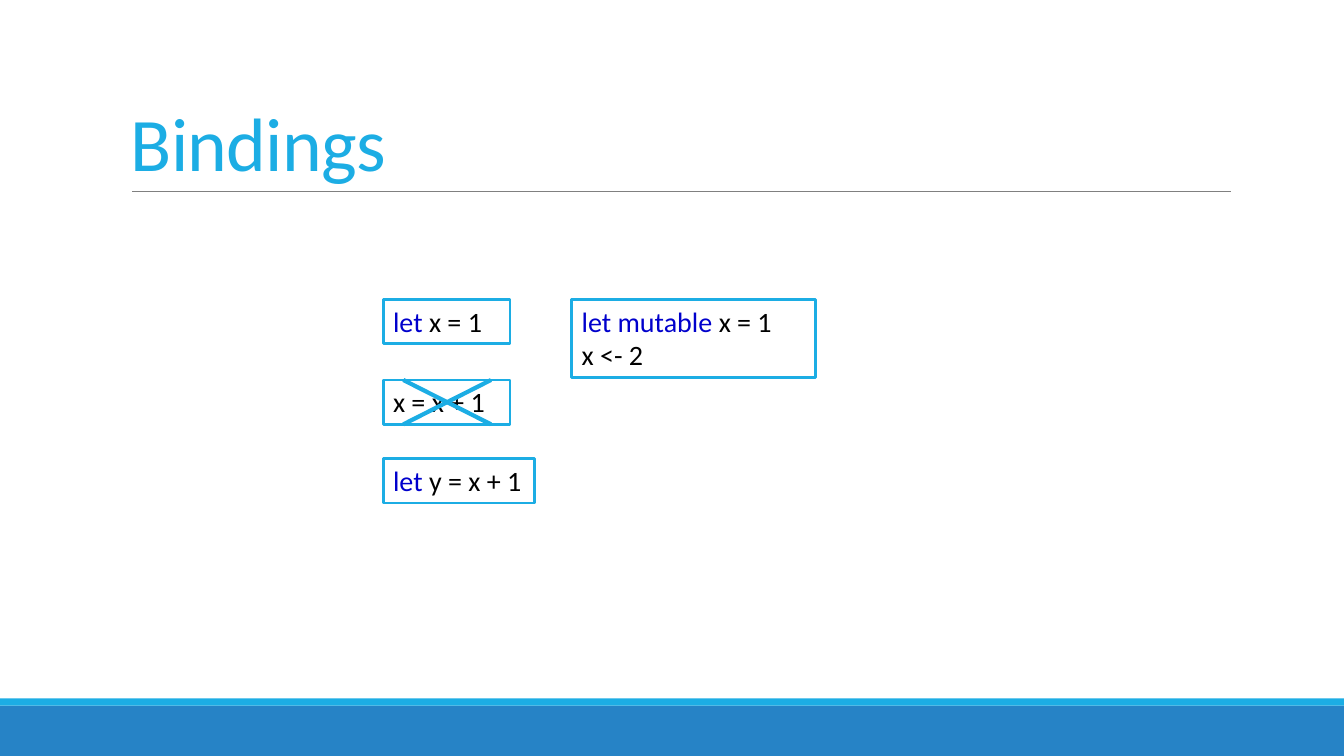
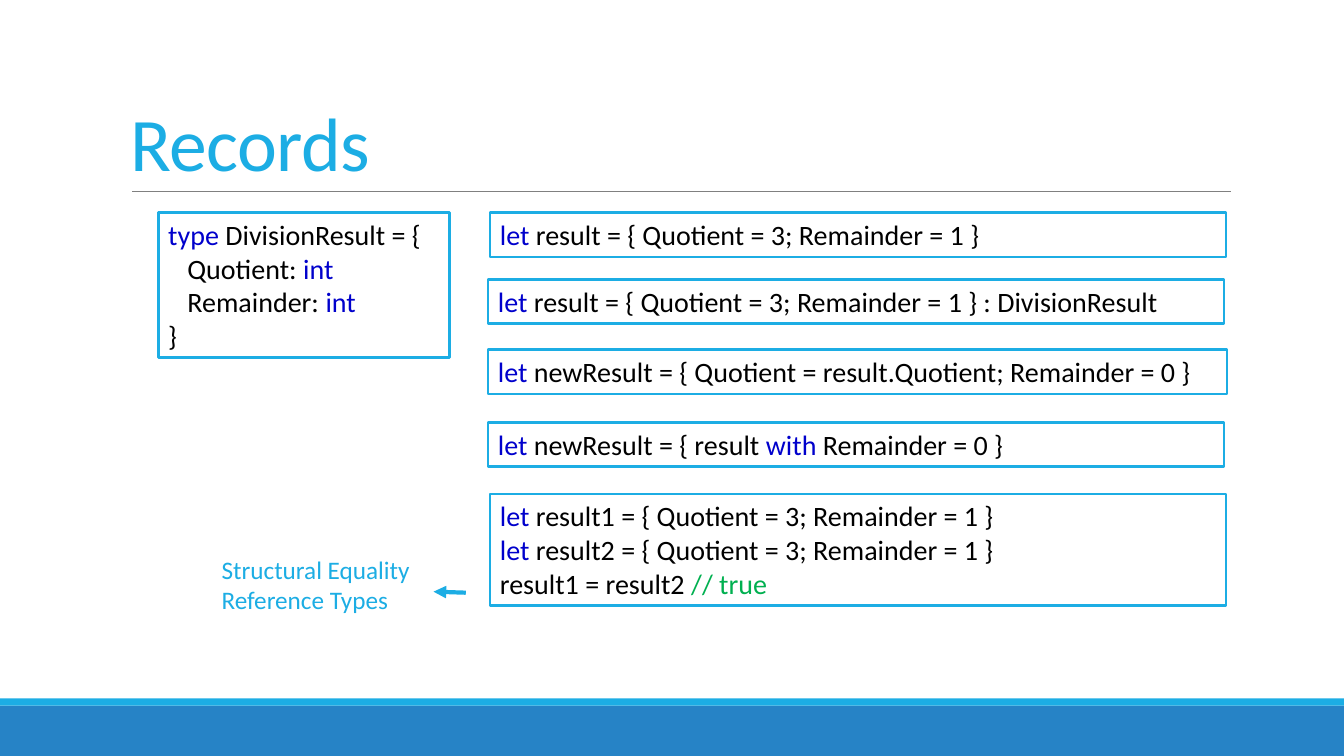
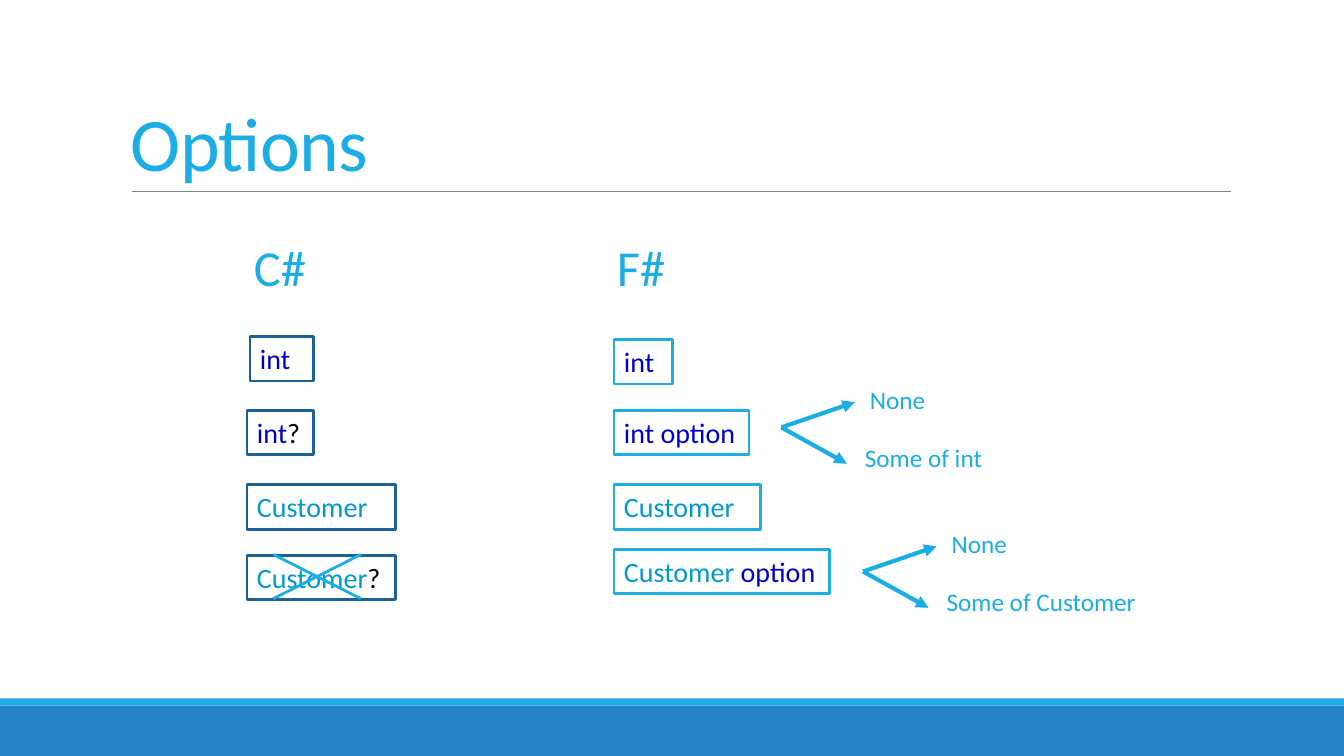
from lxml import etree
from pptx import Presentation
from pptx.dml.color import RGBColor
from pptx.enum.shapes import MSO_CONNECTOR, MSO_SHAPE
from pptx.enum.text import MSO_ANCHOR, MSO_AUTO_SIZE, PP_ALIGN
from pptx.oxml.ns import qn
from pptx.util import Inches, Pt

RECT = MSO_SHAPE.RECTANGLE
STRAIGHT = MSO_CONNECTOR.STRAIGHT
TOP, BOTTOM = MSO_ANCHOR.TOP, MSO_ANCHOR.BOTTOM
GROW = MSO_AUTO_SIZE.SHAPE_TO_FIT_TEXT
LEFT = PP_ALIGN.LEFT

FONT = "Calibri"
ACCENT, BAND, NAVY = "1CADE4", "2683C6", "1D6294"
WHITE, BLACK, GRAY = "FFFFFF", "000000", "808080"
WORD, TYPE, NOTE = "0000CC", "0099CC", "00B050"
ROW = 0.44  # height of a one-line code box
LET = ("let ", WORD)


def rgb(code):
    return RGBColor.from_string(code)


def write(shape, lines, size, anchor=TOP, wrap=True):
    """Each line is a list of (text, colour) runs."""
    frame = shape.text_frame
    frame.word_wrap = wrap
    frame.vertical_anchor = anchor
    for i, line in enumerate(lines):
        para = frame.add_paragraph() if i else frame.paragraphs[0]
        para.alignment = LEFT
        for text, color in line:
            run = para.add_run()
            run.text = text
            run.font.name = FONT
            run.font.size = Pt(size)
            run.font.color.rgb = rgb(color)
    return frame


def add_rect(slide, x, y, w, h, fill):
    shape = slide.shapes.add_shape(
        RECT, Inches(x), Inches(y), Inches(w), Inches(h))
    shape.shadow.inherit = False
    shape.fill.solid()
    shape.fill.fore_color.rgb = rgb(fill)
    shape.line.fill.background()
    return shape


def add_code(slide, x, y, w, lines, edge=ACCENT):
    height = ROW + (len(lines) - 1) / 3
    box = add_rect(slide, x, y, w, height, WHITE)
    box.line.color.rgb = rgb(edge)
    box.line.width = Pt(2)
    frame = write(box, lines, 20)
    frame.auto_size = GROW
    return frame


def add_label(slide, x, y, w, h, texts, size=18):
    box = slide.shapes.add_textbox(
        Inches(x), Inches(y), Inches(w), Inches(h))
    lines = [[(text, ACCENT)] for text in texts]
    write(box, lines, size, wrap=False).auto_size = GROW


def add_line(slide, start, end, width=3, color=ACCENT, arrow=False):
    ends = [Inches(v) for v in (*start, *end)]
    link = slide.shapes.add_connector(STRAIGHT, *ends)
    link.line.color.rgb = rgb(color)
    link.line.width = Pt(width)
    props = link._element.spPr
    if arrow:
        tip = etree.SubElement(props.find(qn("a:ln")), qn("a:tailEnd"))
        tip.set("type", "triangle")
    etree.SubElement(props, qn("a:effectLst"))


def add_cross(slide, x, y, width=3):
    right, low = x + 0.87, y + ROW
    add_line(slide, (x, y), (right, low), width)
    add_line(slide, (right, y), (x, low), width)


def add_fork(slide, x, y, some, width):
    add_line(slide, (x, y), (x + 0.65, y + 0.36), arrow=True)
    add_line(slide, (x, y), (x + 0.73, y - 0.25), arrow=True)
    add_label(slide, x + 0.78, y - 0.48, 0.76, 0.4, ["None"])
    add_label(slide, x + 0.73, y + 0.1, width, 0.4, [some])


def add_slide(deck, title):
    """Blank slide with the shared bands, rule and title."""
    slide = deck.slides.add_slide(deck.slide_layouts[6])
    add_rect(slide, 0, 7, 13.33, 0.5, BAND)
    add_rect(slide, 0, 6.93, 13.33, 0.07, ACCENT)
    add_line(slide, (1.31, 1.9), (12.21, 1.9), 0.5, GRAY)
    box = slide.shapes.add_textbox(
        Inches(1.2), Inches(0.31), Inches(11), Inches(1.59))
    para = write(box, [[(title, ACCENT)]], 54, BOTTOM).paragraphs[0]
    para.line_spacing = 0.85
    para.runs[0].font._element.set("spc", "-50")
    return slide


def show_bindings(deck):
    slide = add_slide(deck, "Bindings")
    add_code(slide, 3.8, 2.97, 1.26, [[LET, ("x = 1", BLACK)]])
    add_code(slide, 5.67, 2.97, 2.42, [
        [("let mutable ", WORD), ("x = 1", BLACK)],
        [("x <- 2", BLACK)]])
    add_code(slide, 3.8, 3.77, 1.26, [[("x = x + 1", BLACK)]])
    add_code(slide, 3.8, 4.55, 1.5, [[LET, ("y = x + 1", BLACK)]])
    add_cross(slide, 4, 3.77)


def show_records(deck):
    slide = add_slide(deck, "Records")
    value = "{ Quotient = 3; Remainder = 1 }"

    # Type definition with indented fields
    frame = add_code(slide, 1.57, 2.11, 2.89, [
        [("type ", WORD), ("DivisionResult = {", BLACK)],
        [("Quotient: ", BLACK), ("int", WORD)],
        [("Remainder: ", BLACK), ("int", WORD)],
        [("}", BLACK)]])
    for para in frame.paragraphs[1:3]:
        para._p.get_or_add_pPr().set("marL", str(Inches(0.19)))

    # Values and comparison
    boxes = [
        (4.86, 2.11, 7.3, [[LET, (f"result = {value}", BLACK)]]),
        (4.84, 2.77, 7.3, [
            [LET, (f"result = {value} : DivisionResult", BLACK)]]),
        (4.84, 3.47, 7.33, [
            [LET, ("newResult = { Quotient = result.Quotient; "
                   "Remainder = 0 }", BLACK)]]),
        (4.84, 4.19, 7.3, [
            [LET, ("newResult = { result ", BLACK), ("with", WORD),
             (" Remainder = 0 }", BLACK)]]),
        (4.86, 4.9, 7.3, [
            [LET, (f"result1 = {value}", BLACK)],
            [LET, (f"result2 = {value}", BLACK)],
            [("result1 = result2 ", BLACK), ("// true", NOTE)]]),
    ]
    for x, y, w, lines in boxes:
        add_code(slide, x, y, w, lines)
    add_line(slide, (4.62, 5.88), (4.3, 5.87), arrow=True)
    add_label(slide, 2.1, 5.45, 2.09, 0.71,
              ["Structural Equality", "Reference Types"])


def show_options(deck):
    slide = add_slide(deck, "Options")
    whole, client = ("int", WORD), ("Customer", TYPE)
    mark = ("?", BLACK)

    # Column heads
    add_label(slide, 2.42, 2.29, 0.72, 0.71, ["C#"], 36)
    add_label(slide, 6.02, 2.29, 0.68, 0.71, ["F#"], 36)

    # Types in each language
    boxes = [
        (2.48, 3.34, 0.63, [whole], NAVY),
        (2.45, 4.07, 0.66, [whole, mark], NAVY),
        (2.45, 4.81, 1.47, [client], NAVY),
        (2.45, 5.51, 1.47, [client, mark], NAVY),
        (6.09, 3.37, 0.58, [whole], ACCENT),
        (6.09, 4.07, 1.34, [("int option", WORD)], ACCENT),
        (6.09, 4.81, 1.45, [client], ACCENT),
        (6.09, 5.45, 2.14, [("Customer ", TYPE), ("option", WORD)], ACCENT),
    ]
    for x, y, w, line, edge in boxes:
        add_code(slide, x, y, w, [line], edge)
    add_cross(slide, 2.71, 5.5, 2)

    # Cases of each option
    add_fork(slide, 7.75, 4.24, "Some of int", 1.38)
    add_fork(slide, 8.56, 5.67, "Some of Customer", 2.1)


def main():
    deck = Presentation()
    deck.slide_width, deck.slide_height = Inches(13.33), Inches(7.5)
    show_bindings(deck)
    show_records(deck)
    show_options(deck)
    deck.save("out.pptx")


main()
